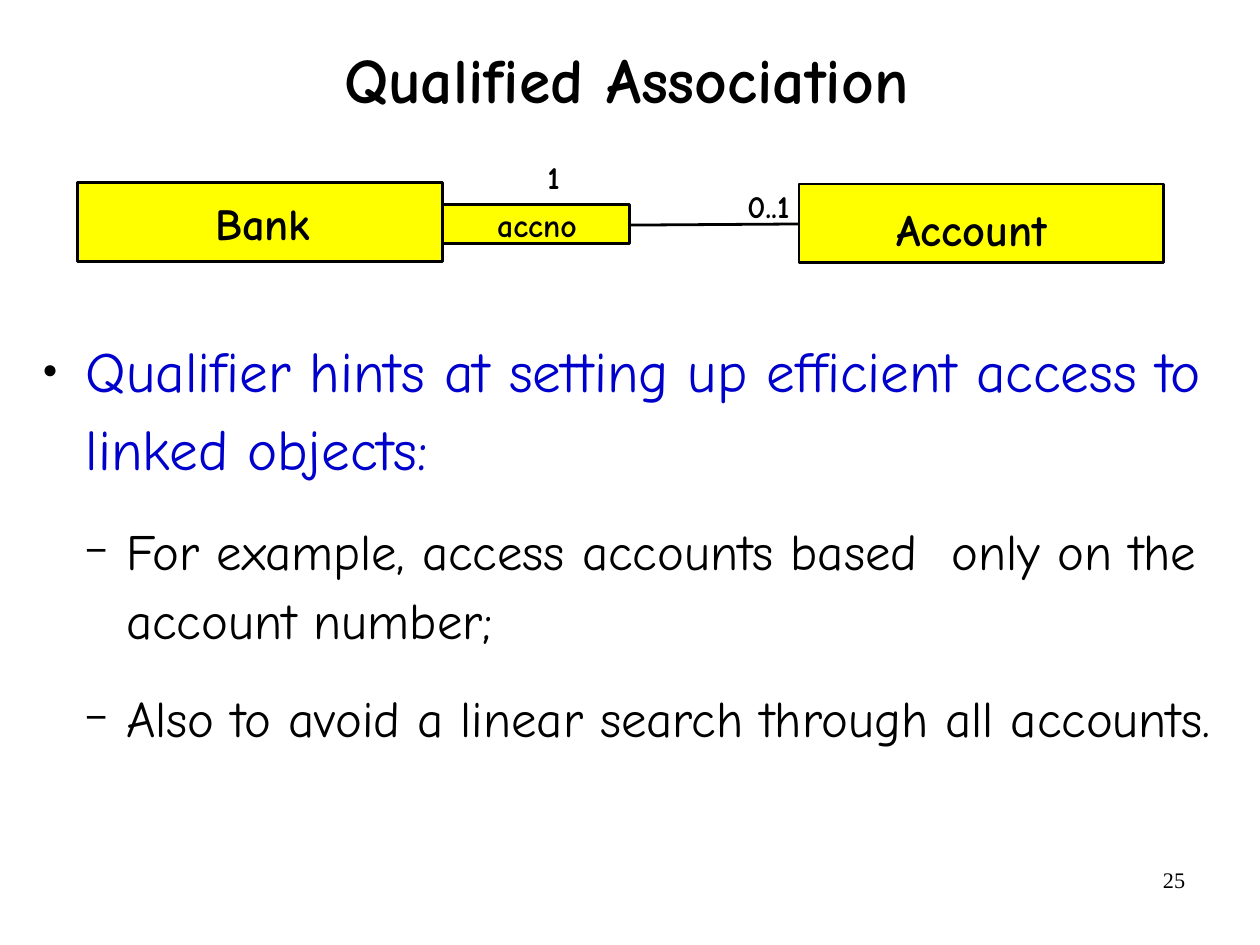
"""Build a slide on qualified association, with a small class diagram."""
from lxml import etree
from pptx import Presentation
from pptx import util as u
from pptx.dml.color import RGBColor
from pptx.enum import shapes, text
from pptx.oxml import ns

BLACK = RGBColor(0, 0, 0)
BLUE = RGBColor(0, 0, 0xCC)
YELLOW = RGBColor(0xFF, 0xFF, 0)
LEFT, MID, RIGHT = text.PP_ALIGN.LEFT, text.PP_ALIGN.CENTER, text.PP_ALIGN.RIGHT


class Sketch:
    """Hold the style and the current slide."""

    font = "Comic Neue"
    line = 1.75

    def __init__(self, slide):
        self.slide = slide

    def place(self, item, *area):
        item.left, item.top, item.width, item.height = map(u.Pt, area)

    def frame(self, item, side, edge):
        frame = item.text_frame
        frame.auto_size = text.MSO_AUTO_SIZE.NONE
        frame.vertical_anchor = text.MSO_ANCHOR.TOP
        frame.margin_left = frame.margin_right = u.Pt(side)
        frame.margin_top = frame.margin_bottom = u.Pt(edge)
        return frame

    def style(self, para, size, color=BLACK, bold=False, align=LEFT, font=font):
        para.alignment = align
        for run in para.runs:
            run.font.name = font
            run.font.size = u.Pt(size)
            run.font.bold = bold
            run.font.color.rgb = color

    def title(self, words, *area):
        item = self.slide.shapes.title
        self.place(item, *area)
        frame = self.frame(item, 8, 4)
        frame.text = words
        para = frame.paragraphs[0]
        para.line_spacing = 0.88
        self.style(para, 40, bold=True, align=MID)

    def bullet(self, para, sign, scale, indent, hang):
        props = para._p.get_or_add_pPr()
        props.set("marL", str(u.Pt(indent)))
        props.set("indent", str(-u.Pt(hang)))
        tint = etree.SubElement(props, ns.qn("a:buClr"))
        etree.SubElement(tint, ns.qn("a:srgbClr"), val=str(BLACK))
        etree.SubElement(props, ns.qn("a:buSzPct"), val=str(scale * 1000))
        etree.SubElement(props, ns.qn("a:buChar"), char=sign)

    def body(self, items, *area):
        item = self.slide.placeholders[1]
        self.place(item, *area)
        frame = self.frame(item, 8, 4)
        frame.text = "\n".join(words for words, _ in items)
        looks = [(36, BLUE, "●", 45, 27.4, 27.4), (32, BLACK, "−", 75, 52.8, 25.9)]
        for para, (_, level) in zip(frame.paragraphs, items):
            size, color, *mark = looks[level]
            para.level = level
            para.line_spacing = 1.14
            para.space_before, para.space_after = u.Pt(12), u.Pt(6)
            self.style(para, size, color)
            self.bullet(para, *mark)

    def box(self, *area):
        item = self.slide.shapes.add_shape(
            shapes.MSO_SHAPE.RECTANGLE, *map(u.Pt, area))
        item.shadow.inherit = False
        item.fill.solid()
        item.fill.fore_color.rgb = YELLOW
        item.line.color.rgb = BLACK
        item.line.width = u.Pt(self.line)

    def link(self, *ends):
        item = self.slide.shapes.add_connector(
            shapes.MSO_CONNECTOR.STRAIGHT, *map(u.Pt, ends))
        item.line.color.rgb = BLACK
        item.line.width = u.Pt(self.line)
        etree.SubElement(item._element.spPr, ns.qn("a:effectLst"))

    def label(self, words, size, *area):
        item = self.slide.shapes.add_textbox(*map(u.Pt, area))
        frame = self.frame(item, 0, 0)
        frame.word_wrap = False
        frame.text = words
        self.style(frame.paragraphs[0], size, bold=True)

    def number(self, words, *area):
        item = self.slide.shapes.add_textbox(*map(u.Pt, area))
        frame = self.frame(item, 7.2, 3.6)
        frame.word_wrap = True
        frame.text = words
        self.style(frame.paragraphs[0], 14, align=RIGHT, font="Times New Roman")


def main():
    deck = Presentation()
    deck.slide_width, deck.slide_height = u.Pt(793.75), u.Pt(595.25)
    page = Sketch(deck.slides.add_slide(deck.slide_layouts[1]))

    page.title("Qualified Association", 56.2, 27.4, 676.8, 98.6)
    page.body([
        ("Qualifier hints at setting up efficient access to linked objects:", 0),
        ("For example, access accounts based  only on the account number;", 1),
        ("Also to avoid a linear search through all accounts.", 1),
    ], 18.7, 201.4, 756, 338.4)

    page.box(277.9, 128.9, 118.8, 24.5)
    page.box(503.3, 115.9, 229.7, 49.7)
    page.link(396.7, 141.8, 503.3, 141.1)
    page.label("Account", 28, 564.5, 127.4, 95, 33.8)
    page.label("accno", 20, 313.2, 129.6, 50.4, 23.8)
    page.label("0..1", 20, 470.9, 117.4, 26.6, 23.8)
    page.label("1", 20, 344.9, 99.4, 7.9, 23.8)
    page.box(49, 115, 229.7, 49.7)
    page.label("Bank", 28, 135.6, 123.6, 60.5, 33.8)
    page.number("25", 568.8, 542, 185, 41)

    deck.save("out.pptx")


if __name__ == "__main__":
    main()
